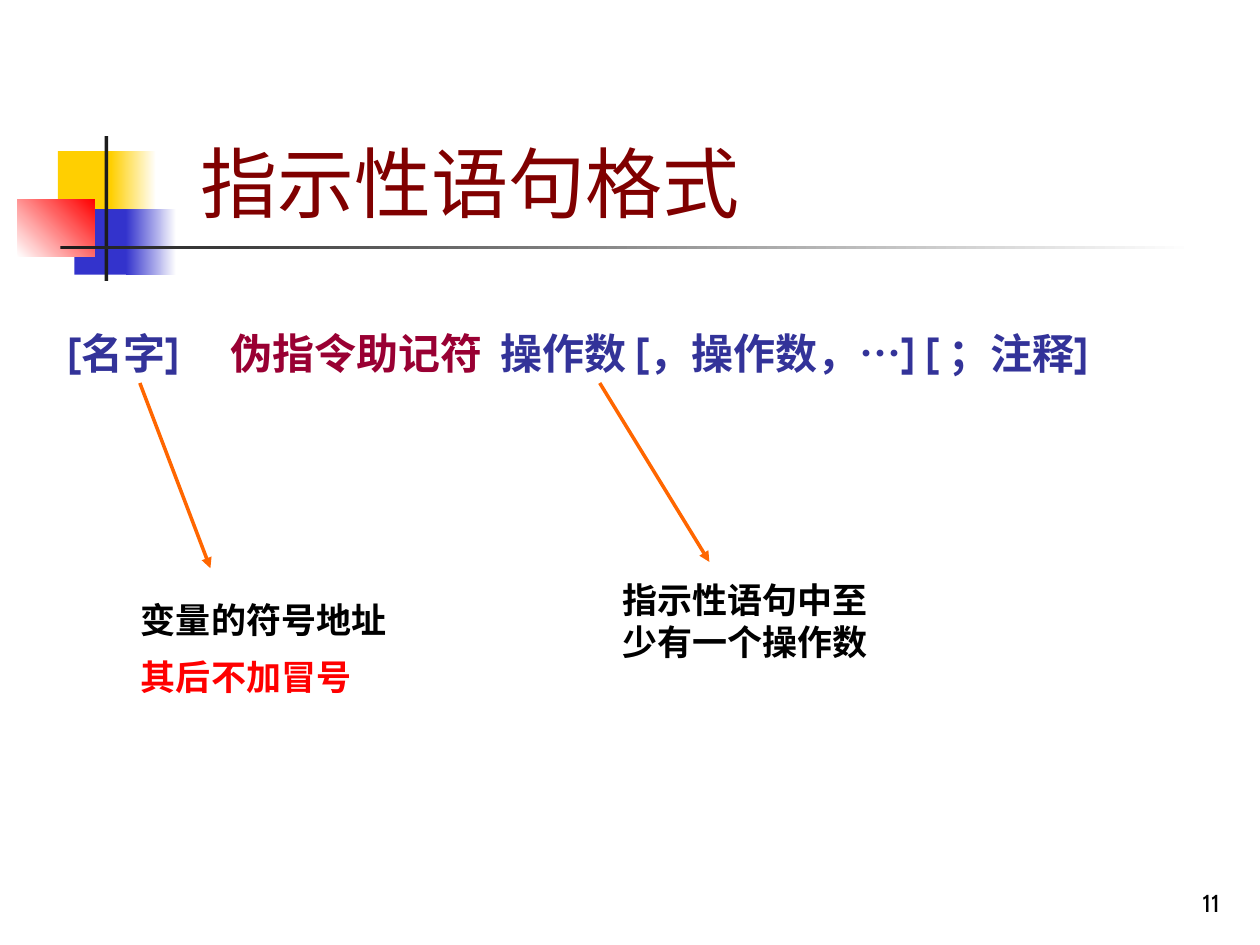
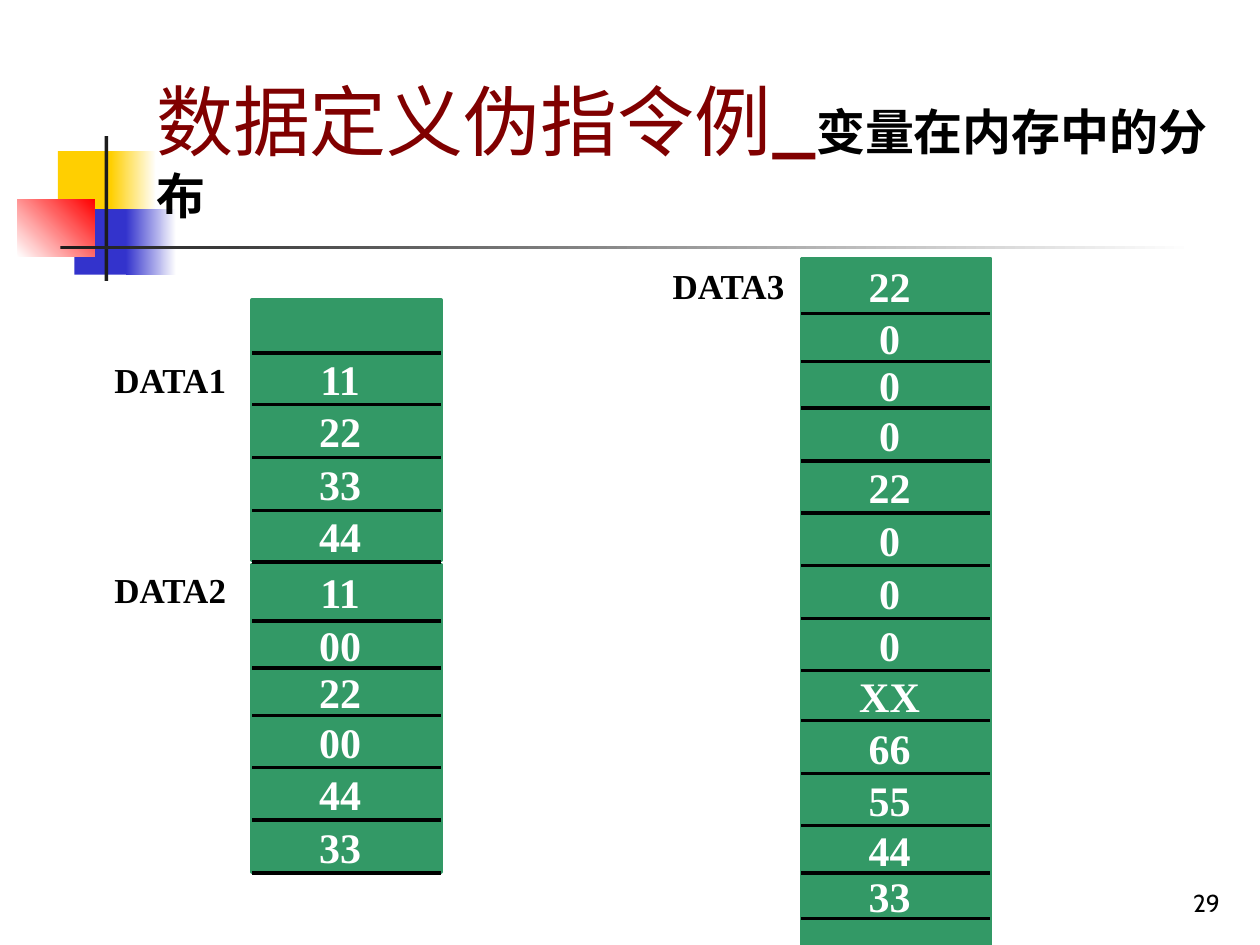
from itertools import accumulate, pairwise

from lxml.etree import SubElement
from pptx import Presentation
from pptx.dml.color import RGBColor
from pptx.enum.shapes import MSO_CONNECTOR as Connector, MSO_SHAPE as Shape
from pptx.enum.text import MSO_ANCHOR as Anchor, PP_ALIGN as Align
from pptx.oxml.ns import qn
from pptx.util import Inches, Pt

COLORS = {
    "yellow": "FFCF01", "blue": "3333CC", "red": "FF0000", "white": "FFFFFF",
    "rule": "1C1C1C", "black": "000000", "title": "800000", "syntax": "333399",
    "mnemonic": "990033", "arrow": "FF6600", "memory": "339966",
}
HEADING_FONT, LABEL_FONT = "Cabin", "Times New Roman"


def rgb(name):
    return RGBColor.from_string(COLORS[name])


def inches(values):
    return [Inches(value) for value in values]


def add_text(slide, box, paragraphs, size=20, font=LABEL_FONT, color="black",
             bold=False, align=Align.LEFT, anchor=Anchor.TOP, inset=(0.1, 0.05),
             line_spacing=None, space_before=0, tabs=()):
    """Each paragraph is a string or a list of (text, format changes) runs."""
    frame = slide.shapes.add_textbox(*inches(box)).text_frame
    frame.word_wrap = True
    frame.vertical_anchor = anchor
    frame.margin_left = frame.margin_right = Inches(inset[0])
    frame.margin_top = frame.margin_bottom = Inches(inset[1])
    for index, runs in enumerate(paragraphs):
        paragraph = frame.add_paragraph() if index else frame.paragraphs[0]
        paragraph.alignment = align
        if line_spacing:
            paragraph.line_spacing = line_spacing
        if index:
            paragraph.space_before = Pt(space_before)
        if tabs:
            stops = SubElement(paragraph._p.get_or_add_pPr(), qn("a:tabLst"))
            for stop in tabs:
                SubElement(stops, qn("a:tab"), pos=str(Inches(stop)), algn="l")
        for words, changes in [(runs, {})] if isinstance(runs, str) else runs:
            style = {"size": size, "font": font, "color": color, "bold": bold} | changes
            run = paragraph.add_run()
            run.text = words
            run.font.size = Pt(style["size"])
            run.font.name = style["font"]
            run.font.bold = style["bold"]
            run.font.color.rgb = rgb(style["color"])


def add_block(slide, box, color, fade_to=None, angle=0, outline=None):
    block = slide.shapes.add_shape(Shape.RECTANGLE, *inches(box))
    block.shadow.inherit = False
    if fade_to:
        block.fill.gradient()
        block.fill.gradient_angle = angle
        for stop, name, position in zip(block.fill.gradient_stops, (color, fade_to), (0, 1)):
            stop.color.rgb = rgb(name)
            stop.position = position
    else:
        block.fill.solid()
        block.fill.fore_color.rgb = rgb(color)
    if outline:
        block.line.color.rgb = rgb(outline)
        block.line.width = Pt(2)
    else:
        block.line.fill.background()


def add_line(slide, start, end, color, arrow=False):
    line = slide.shapes.add_connector(Connector.STRAIGHT, *inches(start + end))
    line.line.color.rgb = rgb(color)
    line.line.width = Pt(2)
    if arrow:
        SubElement(line.line._get_or_add_ln(), qn("a:tailEnd"), type="triangle")
    SubElement(line._element.spPr, qn("a:effectLst"))


def add_base(presentation, page, title_box, title):
    slide = presentation.slides.add_slide(presentation.slide_layouts[6])
    # Corner squares
    add_block(slide, (0.46, 1.2, 0.48, 0.52), "yellow")
    add_block(slide, (0.88, 1.2, 0.36, 0.52), "yellow", fade_to="white")
    add_block(slide, (0.59, 1.66, 0.46, 0.52), "blue")
    add_block(slide, (1, 1.66, 0.4, 0.52), "blue", fade_to="white")
    add_block(slide, (0.14, 1.58, 0.61, 0.46), "white", fade_to="red", angle=45)
    # Crossing rules
    add_block(slide, (0.83, 1.08, 0.03, 1.15), "rule")
    add_block(slide, (0.48, 1.95, 9, 0.03), "rule", fade_to="white")
    # Page number and title
    add_text(slide, (7.7, 6.83, 2.08, 0.5), [page], size=14, font=HEADING_FONT,
             align=Align.RIGHT, anchor=Anchor.BOTTOM)
    add_text(slide, title_box, [title], size=44, font=HEADING_FONT, color="title",
             anchor=Anchor.BOTTOM)
    return slide


def add_note(slide, box, arrow_start, arrow_end, paragraphs, **style):
    """Place an explanation and its arrow; arrow ends are offsets from the box."""
    left, top = box[:2]
    start, end = [(left + x, top + y) for x, y in (arrow_start, arrow_end)]
    add_line(slide, start, end, "arrow", arrow=True)
    add_text(slide, box, paragraphs, bold=True, **style)


def add_memory(slide, box, label, label_left, first_row, row_heights, values):
    """Draw a memory strip; first_row is the offset of its first value."""
    left, top, width, _ = box
    add_block(slide, box, "memory", outline="memory")
    edges = list(accumulate(row_heights, initial=top + first_row))
    for edge in edges:
        if edge != top:
            add_line(slide, (left, edge), (left + width, edge), "black")
    add_text(slide, (label_left, edges[0], 1.2, 0.44), [label], bold=True)
    for value, (upper, lower) in zip(values, pairwise(edges)):
        add_text(slide, (left, upper, width - 0.1, lower - upper), [value], size=24,
                 color="white", bold=True, align=Align.CENTER,
                 anchor=Anchor.MIDDLE, inset=(0, 0))


def build_statement_format(presentation):
    slide = add_base(presentation, "11", (1.49, 0.26, 5.08, 1.6), "指示性语句格式")
    # Statement syntax
    syntax = [
        ("[名字]\t", {}),
        ("伪指令助记符\t", {"color": "mnemonic"}),
        ("操作数 [，操作数，", {}),
        ("…", {"font": "Arial"}),
        ("] [ ；注释]", {}),
    ]
    add_text(slide, (0.44, 2.51, 9.29, 1.17), [syntax], size=24, font=HEADING_FONT,
             color="syntax", bold=True, line_spacing=1.1, tabs=(1.29, 3.43))
    # Explanations
    add_note(slide, (1.02, 4.67, 3.12, 0.92), (0.09, -1.63), (0.65, -0.16),
             ["变量的符号地址", [("其后不加冒号", {"color": "red"})]],
             line_spacing=1.1, space_before=6.2)
    add_note(slide, (4.84, 4.54, 2.28, 0.77), (-0.08, -1.5), (0.79, -0.08),
             ["指示性语句中至少有一个操作数"])


def build_memory_layout(presentation):
    title = [("数据定义伪指令例_", {}),
             ("变量在内存中的分布", {"size": 28, "color": "black", "bold": True})]
    slide = add_base(presentation, "29", (1.14, 0.23, 8.64, 1.6), title)
    # Memory strips
    add_memory(slide, (2, 2.38, 1.5, 2.07), "DATA1", 0.81, 0.42,
               [0.41, 0.42, 0.42, 0.41], ["11", "22", "33", "44"])
    add_memory(slide, (2, 4.48, 1.5, 2.44), "DATA2", 0.81, -0.02,
               [0.47, 0.37, 0.38, 0.41, 0.42, 0.42],
               ["11", "00", "22", "00", "44", "33"])
    add_memory(slide, (6.36, 2.05, 1.5, 5.45), "DATA3", 5.24, 0,
               [0.44, 0.38, 0.37, 0.42, 0.41, 0.42, 0.42, 0.41, 0.4, 0.42, 0.41,
                0.38, 0.36],
               ["22", "0", "0", "0", "22", "0", "0", "0", "XX", "66", "55", "44", "33"])


def main():
    presentation = Presentation()
    presentation.slide_width, presentation.slide_height = inches((10, 7.5))
    build_statement_format(presentation)
    build_memory_layout(presentation)
    presentation.save("out.pptx")


if __name__ == "__main__":
    main()
